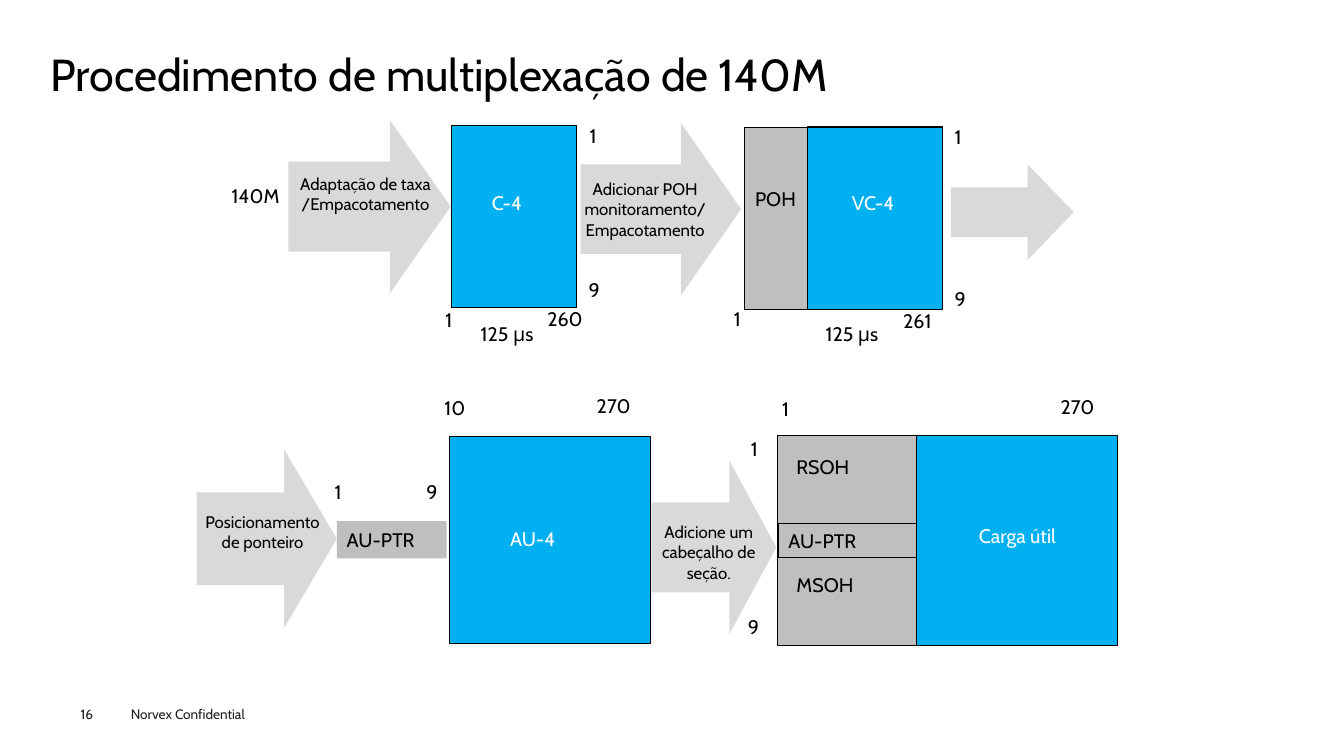
from pptx import Presentation
from pptx.dml.color import RGBColor
from pptx.enum.shapes import MSO_SHAPE as Shape
from pptx.enum.text import MSO_ANCHOR as Anchor, PP_ALIGN as Align
from pptx.util import Inches, Pt

BLACK = RGBColor(0x00, 0x00, 0x00)
WHITE = RGBColor(0xFF, 0xFF, 0xFF)
INK = RGBColor(0x1D, 0x1D, 0x1B)
BLUE = RGBColor(0x00, 0xB0, 0xF0)
GRAY = RGBColor(0xBF, 0xBF, 0xBF)
PALE = RGBColor(0xD9, 0xD9, 0xD9)


def write(box, text, size=14, color=BLACK, align=Align.LEFT, anchor=Anchor.TOP,
          spacing=None, insets=(0.1, 0.05, 0, 0.05), font="Cabin"):
    frame = box.text_frame
    frame.word_wrap = True
    frame.vertical_anchor = anchor
    frame.margin_left, frame.margin_top, frame.margin_right, frame.margin_bottom = map(Inches, insets)
    for index, line in enumerate(text.split("\n")):
        para = frame.add_paragraph() if index else frame.paragraphs[0]
        para.alignment = align
        if spacing:
            para.line_spacing = spacing
        span = para.add_run()
        span.text = line
        span.font.name = font
        span.font.size = Pt(size)
        span.font.color.rgb = color


class MultiplexSlide:
    def __init__(self, deck):
        self.page = deck.slides.add_slide(deck.slide_layouts[5])

    def title(self, text, place):
        box = self.page.shapes.title
        box.left, box.top, box.width, box.height = map(Inches, place)
        write(box, text, size=32, anchor=Anchor.MIDDLE, spacing=0.9, insets=(0, 0, 0, 0))

    def shape(self, kind, place, fill):
        box = self.page.shapes.add_shape(kind, *map(Inches, place))
        box.shadow.inherit = False
        box.fill.solid()
        box.fill.fore_color.rgb = fill
        box.line.fill.background()
        return box

    def block(self, place, fill, text=None, outlined=True):
        box = self.shape(Shape.RECTANGLE, place, fill)
        if outlined:
            box.line.color.rgb = BLACK
            box.line.width = Pt(0.75)
        if text:
            write(box, text, anchor=Anchor.MIDDLE)

    def arrow(self, place, head=0.375, text=None):
        box = self.shape(Shape.RIGHT_ARROW, place, PALE)
        box.adjustments[0] = 0.52
        box.adjustments[1] = head
        if text:
            write(box, text, size=12, align=Align.CENTER, anchor=Anchor.MIDDLE,
                  insets=(0, 0.05, 0, 0.05))

    def label(self, text, place, **style):
        box = self.page.shapes.add_textbox(*map(Inches, place))
        write(box, text, **style)

    def step(self, text, place):
        self.label(text, place, size=12, align=Align.CENTER, insets=(0.1, 0.05, 0.1, 0.05))


BLOCKS = [
    ((4.48, 1.25, 1.24, 1.8), BLUE),
    ((7.38, 1.27, 0.64, 1.8), GRAY),
    ((8.01, 1.26, 1.34, 1.81), BLUE),
    ((4.46, 4.33, 1.99, 2.05), BLUE),
    ((7.71, 4.32, 1.38, 2.08), GRAY),
    ((9.09, 4.32, 1.99, 2.08), BLUE),
    ((7.72, 5.19, 1.37, 0.34), GRAY, "AU-PTR"),
    ((3.34, 5.17, 1.09, 0.37), GRAY, "AU-PTR", False),
]

ARROWS = [
    ((2.86, 1.19, 1.61, 1.72),),
    ((5.76, 1.22, 1.59, 1.71), 0.375, "Adicionar POH\nmonitoramento/\nEmpacotamento"),
    ((9.43, 1.63, 1.22, 0.95), 0.483),
    ((1.95, 4.46, 1.39, 1.77),),
    ((6.46, 4.57, 1.24, 1.72),),
]

STEPS = [
    ("Adaptação de taxa\n/Empacotamento", (2.76, 1.67, 1.73, 0.53)),
    ("Posicionamento\nde ponteiro", (1.89, 5.03, 1.43, 0.53)),
    ("Adicione um cabeçalho de seção.", (6.35, 5.13, 1.36, 0.53)),
]

LABELS = [
    ("140M", 2.2, 1.78, 0.71),
    ("1", 5.75, 1.18, 0.37),
    ("9", 5.74, 2.71, 0.37),
    ("1", 4.32, 3.01, 0.37),
    ("260", 5.33, 3, 0.59),
    ("125 μs", 4.67, 3.14, 0.83),
    ("1", 9.37, 1.19, 0.37),
    ("9", 9.37, 2.8, 0.37),
    ("1", 7.18, 3, 0.37),
    ("261", 8.86, 3.02, 0.59),
    ("125 μs", 8.09, 3.14, 0.83),
    ("10", 4.31, 3.88, 0.85),
    ("270", 5.82, 3.86, 0.59),
    ("1", 3.22, 4.71, 0.37),
    ("9", 4.13, 4.71, 0.37),
    ("1", 7.66, 3.89, 0.37),
    ("270", 10.42, 3.87, 0.59),
    ("1", 7.35, 4.29, 0.37),
    ("9", 7.32, 6.05, 0.38),
    ("RSOH", 7.8, 4.46, 0.71),
    ("MSOH", 7.8, 5.63, 0.71),
]

BLOCK_NAMES = [
    ("C-4", 4.78, 1.84, 0.61),
    ("VC-4", 8.35, 1.84, 0.76),
    ("AU-4", 4.96, 5.18, 0.79),
]


def main():
    deck = Presentation()
    deck.slide_width, deck.slide_height = Inches(13.33), Inches(7.5)
    slide = MultiplexSlide(deck)
    slide.title("Procedimento de multiplexação de 140M", (0.5, 0.49, 12.35, 0.54))
    for block in BLOCKS:
        slide.block(*block)
    for arrow in ARROWS:
        slide.arrow(*arrow)
    for step in STEPS:
        slide.step(*step)
    for labels, color in ((LABELS, BLACK), (BLOCK_NAMES, WHITE)):
        for text, left, top, width in labels:
            slide.label(text, (left, top, width, 0.4), color=color)
    slide.label("POH", (7.39, 1.86, 0.74, 0.75), spacing=0.75)
    slide.label("Carga útil", (9.61, 5.22, 1.63, 0.32), color=WHITE, spacing=0.65)
    slide.label("16", (0.8, 7, 0.55, 0.16), size=9.7, color=INK, insets=(0, 0, 0, 0))
    slide.label("Norvex Confidential", (1.2, 6.95, 1.6, 0.27), size=9.7, color=INK)
    deck.save("out.pptx")


if __name__ == "__main__":
    main()
